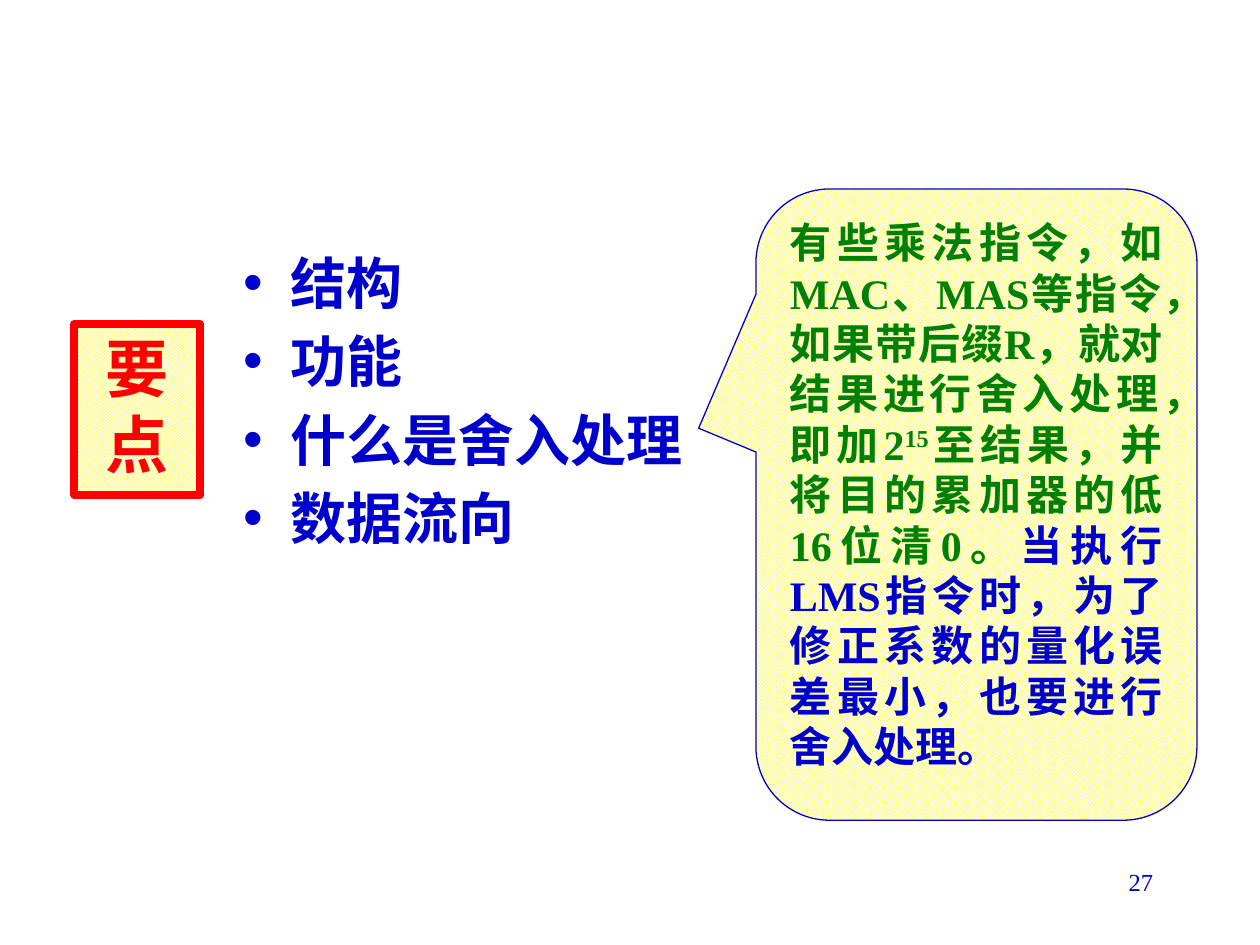
from dataclasses import dataclass

from lxml import etree
from pptx import Presentation
from pptx.dml import color
from pptx.enum import dml, shapes, text
from pptx.oxml import ns
from pptx.util import Inches, Pt


@dataclass(frozen=True)
class Theme:
    blue: str = "0000CC"
    green: str = "008000"
    red: str = "FF0000"
    yellow: str = "FFFF00"
    white: str = "FFFFFF"
    sans: str = "Noto Sans CJK SC"
    serif: str = "Times New Roman"
    small: float = 14
    note: float = 24
    list: float = 32
    label: float = 36


@dataclass(frozen=True)
class Box:
    left: float
    top: float
    width: float
    height: float

    def place(self) -> tuple:
        return tuple(map(Inches, (self.left, self.top, self.width, self.height)))


@dataclass(frozen=True)
class Panel:
    kind: shapes.MSO_SHAPE
    box: Box
    line: str
    weight: float
    adjust: tuple = ()


THEME = Theme()
LABEL = Panel(shapes.MSO_SHAPE.RECTANGLE, Box(0.59, 2.57, 1, 1.36), THEME.red, 4.5)
NOTE = Panel(shapes.MSO_SHAPE.ROUNDED_RECTANGULAR_CALLOUT, Box(6, 1.5, 3.5, 5.01),
             THEME.blue, 0.75, (-0.63, -0.121, 0.167))
POINTS = ("结构", "功能", "什么是舍入处理", "数据流向")
RUNS = (
    ("有些乘法指令，如MAC、MAS等指令，如果带后缀R，就对结果进行舍入处理，即加2", THEME.green, 0),
    ("15", THEME.green, 30),
    ("至结果，并将目的累加器的低16位清0。", THEME.green, 0),
    ("当执行LMS指令时，为了修正系数的量化误差最小，也要进行舍入处理。", THEME.blue, 0),
)


def rgb(code: str) -> color.RGBColor:
    return color.RGBColor.from_string(code)


def write(para, words: str, *, size: float, face: str = THEME.sans,
          tint: str = THEME.blue, bold: bool = True, rise: int = 0) -> None:
    run = para.add_run()
    run.text = words
    font = run.font
    font.size, font.name, font.bold = Pt(size), face, bold
    font.color.rgb = rgb(tint)
    props = run._r.get_or_add_rPr()
    etree.SubElement(props, ns.qn("a:ea"), typeface=THEME.sans)
    if rise:
        props.set("baseline", str(rise * 1000))


def fit(frame):
    frame.word_wrap = True
    frame.auto_size = text.MSO_AUTO_SIZE.NONE
    frame.vertical_anchor = text.MSO_ANCHOR.TOP
    return frame


def line(frame, index: int, align=None):
    para = frame.add_paragraph() if index else frame.paragraphs[0]
    para.alignment = align
    return para


def draw(slide, panel: Panel):
    shape = slide.shapes.add_shape(panel.kind, *panel.box.place())
    shape.shadow.inherit = False
    for index, value in enumerate(panel.adjust):
        shape.adjustments[index] = value
    fill = shape.fill
    fill.patterned()
    fill.pattern = dml.MSO_PATTERN.SMALL_CHECKER_BOARD
    fill.fore_color.rgb = rgb(THEME.yellow)
    fill.back_color.rgb = rgb(THEME.white)
    shape.line.color.rgb = rgb(panel.line)
    shape.line.width = Pt(panel.weight)
    return fit(shape.text_frame)


def main() -> None:
    deck = Presentation()
    deck.slide_width, deck.slide_height = Inches(10), Inches(7.5)
    slide = deck.slides.add_slide(deck.slide_layouts[1])
    title = slide.shapes.title._element
    title.getparent().remove(title)

    body = slide.placeholders[1]
    body.left, body.top, body.width, body.height = Box(1.83, 1.92, 4, 3.17).place()
    frame = fit(body.text_frame)
    for index, point in enumerate(POINTS):
        para = line(frame, index)
        para.space_before = Pt(0.2 * THEME.list if index else 0)
        write(para, point, size=THEME.list)

    page = slide.shapes.add_textbox(*Box(7.17, 6.83, 2.08, 0.5).place())
    para = line(fit(page.text_frame), 0, text.PP_ALIGN.RIGHT)
    write(para, "27", size=THEME.small, face=THEME.serif, bold=False)

    para = line(draw(slide, NOTE), 0, text.PP_ALIGN.JUSTIFY)
    for words, tint, rise in RUNS:
        write(para, words, size=THEME.note, face=THEME.serif, tint=tint, rise=rise)

    frame = draw(slide, LABEL)
    for index, word in enumerate("要点"):
        para = line(frame, index, text.PP_ALIGN.CENTER)
        write(para, word, size=THEME.label, tint=THEME.red)

    deck.save("out.pptx")


if __name__ == "__main__":
    main()
